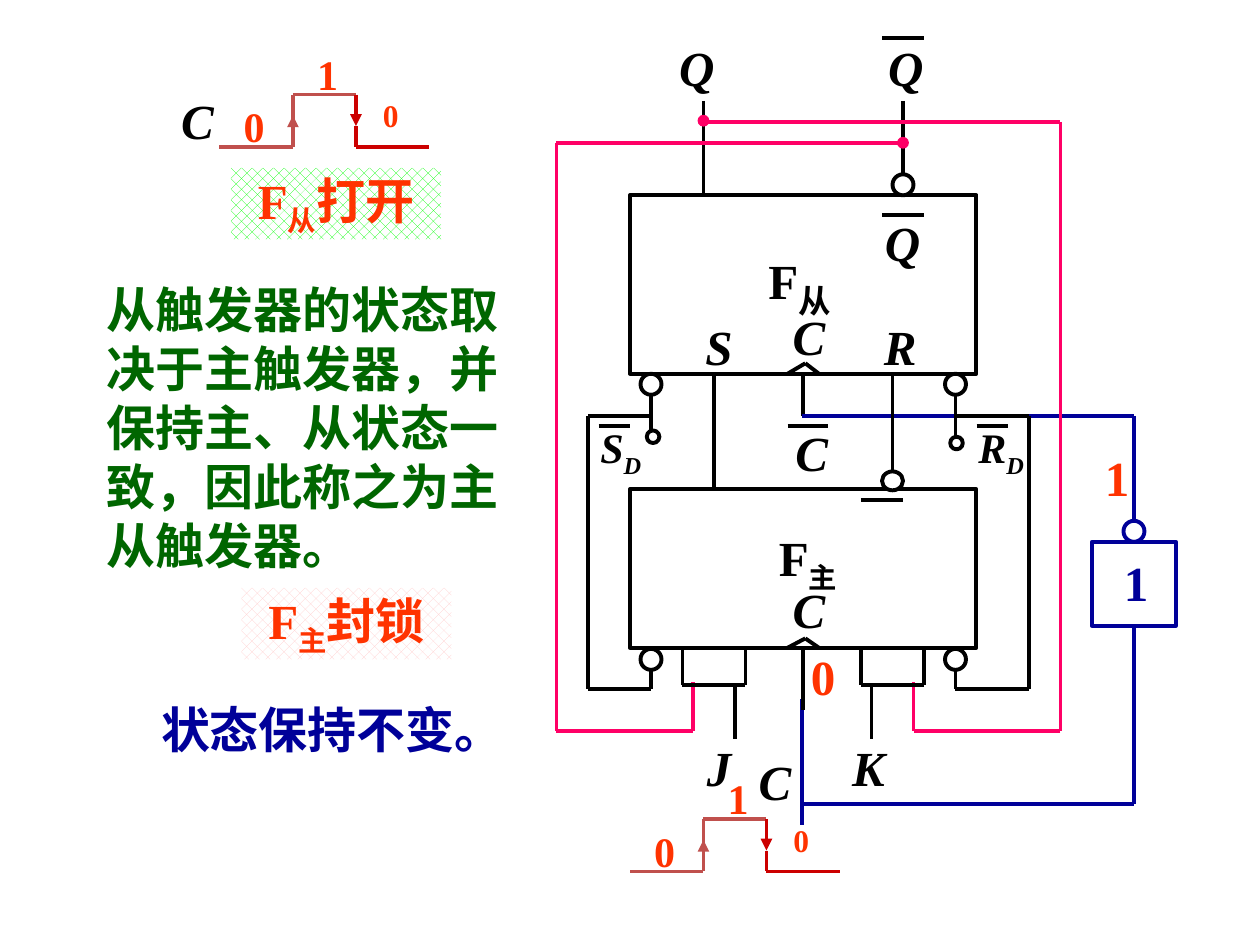
from lxml import etree
from pptx import Presentation
from pptx import util as u
from pptx.dml.color import RGBColor
from pptx.enum import dml, shapes, text
from pptx.oxml.ns import qn

COLS, ROWS = 120, 90
W, H = u.Inches(10), u.Inches(7.5)
C = {"black": "000000", "white": "FFFFFF", "blue": "000099", "pink": "FF0066",
     "orange": "FF3300", "dark": "006600", "red": "CC0000", "brick": "C0504D",
     "lime": "00FF00", "blush": "FFCCCC"}


def rgb(name):
    return RGBColor.from_string(C[name])


def grid(x, y):
    return round(x * W / COLS), round(y * H / ROWS)


def write(sp, *parts, size=28, sub_size=None, color="black", italic=False,
          center=True, middle=True, wrap=False):
    tf = sp.text_frame
    tf.word_wrap = wrap
    tf.auto_size = text.MSO_AUTO_SIZE.SHAPE_TO_FIT_TEXT
    tf.vertical_anchor = text.MSO_ANCHOR.MIDDLE if middle else text.MSO_ANCHOR.TOP
    p = tf.paragraphs[0]
    p.alignment = text.PP_ALIGN.CENTER if center else text.PP_ALIGN.LEFT
    for i, part in enumerate(parts):
        r = p.add_run()
        r.text = part
        f = r.font
        f.name, f.bold, f.italic = "Times New Roman", True, italic
        f.size = u.Pt(sub_size if i == 1 and sub_size else size)
        f.color.rgb = rgb(color)
        if i == 1:
            r._r.get_or_add_rPr().set("baseline", "-25000")


def label(s, x, y, w, h, *parts, **fmt):
    write(s.shapes.add_textbox(*grid(x, y), *grid(w, h)), *parts, **fmt)


def shape(s, kind, x, y, w, h, fill="white", color="black", width=2.25):
    sp = s.shapes.add_shape(kind, *grid(x, y), *grid(w, h))
    sp.shadow.inherit = False
    if fill:
        sp.fill.solid()
        sp.fill.fore_color.rgb = rgb(fill)
    else:
        sp.fill.background()
    sp.line.color.rgb = rgb(color)
    sp.line.width = u.Pt(width)
    return sp


def box(s, *args, **fmt):
    return shape(s, shapes.MSO_SHAPE.RECTANGLE, *args, **fmt)


def circle(s, x, y, w=2, h=2, **fmt):
    return shape(s, shapes.MSO_SHAPE.OVAL, x, y, w, h, **fmt)


def wire(s, *points, color="black", arrow=False):
    for a, b in zip(points, points[1:]):
        cn = s.shapes.add_connector(shapes.MSO_CONNECTOR.STRAIGHT, *grid(*a), *grid(*b))
        cn.line.color.rgb = rgb(color)
        cn.line.width = u.Pt(2.25)
        if arrow:
            etree.SubElement(cn.line._get_or_add_ln(), qn("a:tailEnd"), type="triangle")
        etree.SubElement(cn._element.spPr, qn("a:effectLst"))


def pulse(s, x, y):
    rise, fall, low = x + 7, x + 13, y + 5
    wire(s, (x, low), (rise, low), color="brick")
    wire(s, (rise, low), (rise, y + 2), color="brick", arrow=True)
    wire(s, (rise, y + 3), (rise, y), (fall, y), color="brick")
    wire(s, (fall, y), (fall, y + 3), color="red", arrow=True)
    wire(s, (fall, y + 3), (fall, low), (x + 20, low), color="red")
    label(s, x + 1, y, 4.6, 6, "0", size=24, color="orange")
    label(s, x + 8, y - 5, 4.6, 6, "1", size=24, color="orange")
    label(s, x + 14.3, y - 0.4, 4, 4.7, "0", size=18, color="orange")


def banner(s, x, y, color, *parts):
    sp = box(s, x, y, 20, 6.8)
    sp.fill.patterned()
    sp.fill.pattern = dml.MSO_PATTERN.from_xml("pct40")
    sp.fill.fore_color.rgb = rgb(color)
    sp.fill.back_color.rgb = rgb("white")
    sp.line.fill.background()
    write(sp, *parts, color="orange", wrap=True)


def wires(s):
    wire(s, (67, 9.6), (67, 18.8))
    wire(s, (86, 9.6), (86, 16.8))
    wire(s, (76.5, 35.6), (76.5, 39.6))
    wire(s, (68, 35.6), (68, 46.6))
    wire(s, (76.4, 39.6), (108, 39.6), (108, 49.6), color="blue")
    wire(s, (85, 35.6), (85, 45))
    wire(s, (76.4, 76.6), (108, 76.6), (108, 59.6), color="blue")
    wire(s, (76.4, 66.6), (76.4, 78.6), color="blue")
    wire(s, (86, 13.6), (53, 13.6), (53, 69.6), (66, 69.6), (66, 65), color="pink")
    wire(s, (67, 11.6), (101, 11.6), (101, 69.6), (87, 69.6), (87, 65), color="pink")
    for x, outer in ((62, 56), (91, 98)):
        wire(s, (x, 37.6), (x, 41.6))
        wire(s, (x, 39.6), (outer, 39.6), (outer, 65.6), (x, 65.6), (x, 63.6))
    wire(s, (76.5, 61.6), (76.5, 67.6))
    for x, pin in ((65, 70), (82, 83)):
        wire(s, (x, 61.6), (x, 65.2), (x + 6, 65.2), (x + 6, 61.6))
        wire(s, (pin, 65.2), (pin, 70.4))
    for y, base in ((34.6, 35.6), (60.8, 61.7)):
        wire(s, (75, base), (76.7, y), (78, base))
    for x, y, w in ((84, 3.6, 4), (84, 20.5, 4), (82, 47.6, 4),
                    (75, 40.6, 3.9), (57, 40.6, 3), (93, 40.6, 3)):
        wire(s, (x, y), (x + w, y))


def blocks(s):
    box(s, 60, 18.6, 33, 17, fill=None)
    box(s, 60, 46.6, 33, 15.1, fill=None)
    box(s, 104, 51.6, 8, 8, color="blue")
    circle(s, 107, 49.6, color="blue")
    circle(s, 85, 16.6)
    circle(s, 84, 44.9, 2, 1.8)
    for x in (61, 90):
        circle(s, x, 35.6)
        circle(s, x, 61.8)
    circle(s, 61.6, 41, 1.2, 1.2)
    circle(s, 90.5, 41.6, 1.2, 1.2)
    for x, y in ((66.5, 11), (85.5, 13.1)):
        circle(s, x, y, 1, 1, fill="pink", color="pink", width=0.75)


def names(s):
    for name, x, y, w in (("Q", 63.4, 3, 5.9), ("Q", 83.3, 3, 5.9), ("Q", 83, 19.6, 5.9),
                          ("C", 74.5, 39.6, 5.6), ("C", 71, 71, 5.6), ("C", 16, 8, 5.6),
                          ("J", 66, 69.6, 5), ("K", 79.9, 69.6, 5.6)):
        label(s, x, y, w, 6.8, name, italic=True)
    left = dict(center=False, middle=False, wrap=True)
    for name, x, y in (("S", 66, 29.6), ("R", 83, 29.6), ("C", 74.3, 28.6), ("C", 74.3, 54.6)):
        label(s, x, y, 5.5, 6.8, name, italic=True, **left)
    for name, x in (("S", 56), ("R", 92)):
        label(s, x, 39.6, 9, 6, name, "D", size=24, italic=True, **left)
    label(s, 72, 22.6, 11.5, 6.8, "F", "从", sub_size=32, **left)
    label(s, 73, 49.6, 11.8, 6.8, "F", "主", **left)
    label(s, 105.8, 52, 4.8, 6.8, "1", color="blue")
    label(s, 104, 42, 4.8, 6.8, "1", color="orange")
    label(s, 76, 61, 4.8, 6.8, "0", color="orange")


def main():
    prs = Presentation()
    prs.slide_width, prs.slide_height = W, H
    s = prs.slides.add_slide(prs.slide_layouts[6])
    label(s, 14, 66, 35.3, 6.8, "状态保持不变。", color="blue")
    label(s, 9, 26, 43, 29.3,
          "从触发器的状态取决于主触发器，并保持主、从状态一致，因此称之为主从触发器。",
          color="dark", center=False, wrap=True)
    banner(s, 22, 16, "lime", "F", "从", "打开")
    banner(s, 23, 56, "blush", "F", "主", "封锁")
    wires(s)
    blocks(s)
    names(s)
    pulse(s, 20.9, 9)
    pulse(s, 60, 78)
    prs.save("out.pptx")


if __name__ == "__main__":
    main()
